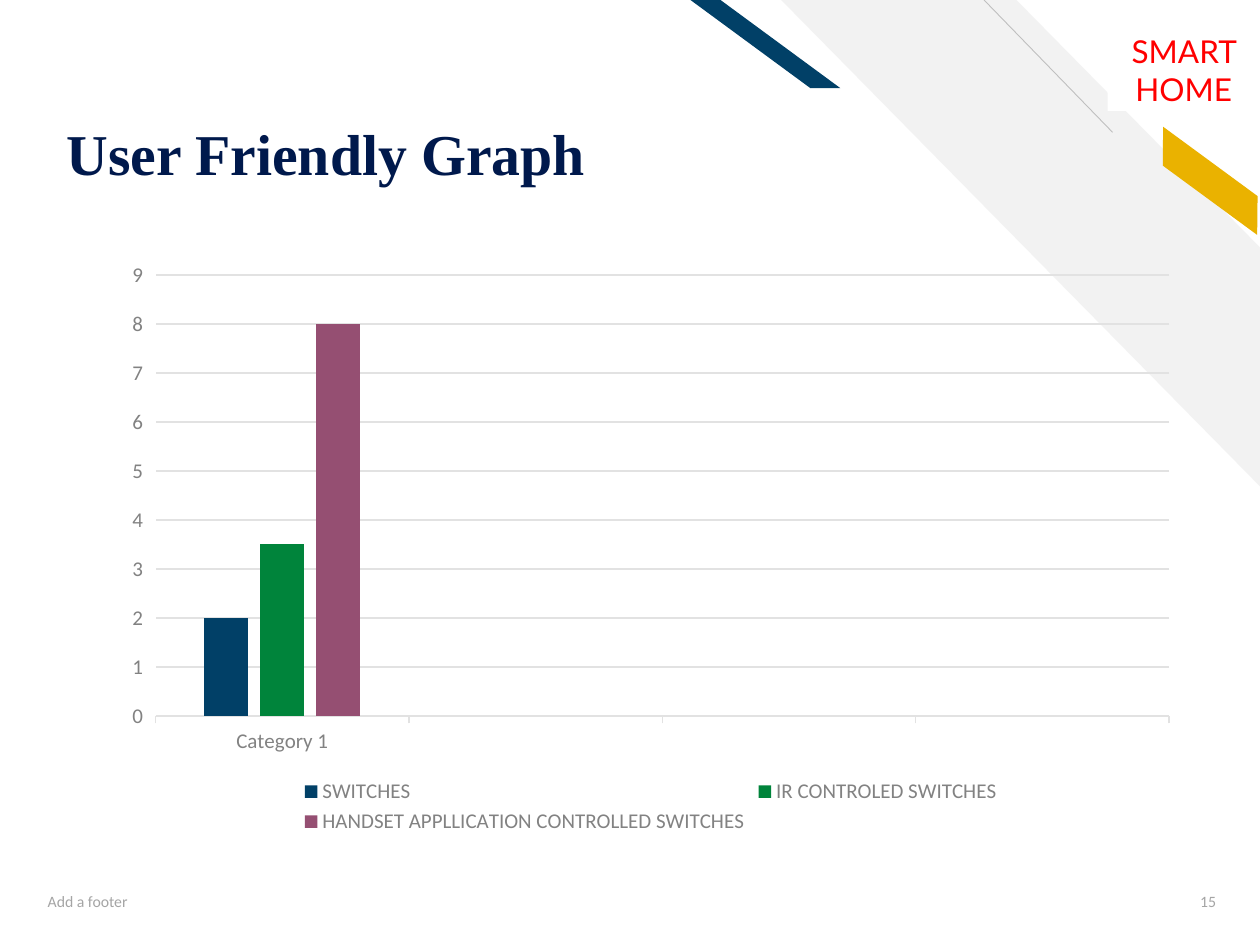
from lxml.etree import SubElement
from pptx import Presentation
from pptx.chart.data import CategoryChartData
from pptx.dml.color import RGBColor
from pptx.enum.chart import XL_CHART_TYPE, XL_LEGEND_POSITION, XL_TICK_MARK
from pptx.enum.shapes import MSO_CONNECTOR, MSO_SHAPE
from pptx.enum.text import MSO_ANCHOR, MSO_AUTO_SIZE, PP_ALIGN
from pptx.oxml.ns import qn
from pptx.util import Inches, Pt

NAVY, GOLD, PALE, GRID = "014067", "EAB200", "F2F2F2", "E2E2E2"
GREY, FAINT = "828282", "A5A5A5"


def rgb(code):
    return RGBColor.from_string(code)


def inches(*nums):
    return [Inches(n) for n in nums]


def assign(item, **vals):
    for key, val in vals.items():
        setattr(item, key, val)


def style(font, size, color, name="Calibri", bold=False):
    assign(font, size=Pt(size), name=name, bold=bold)
    font.color.rgb = rgb(color)


def stroke(line, color, width):
    line.color.rgb = rgb(color)
    line.width = Pt(width)


class Deck:
    """Holds the presentation, its house style and the current slide."""

    def __init__(self):
        self.prs = Presentation()
        assign(self.prs, slide_width=Inches(10), slide_height=Inches(7.5))
        self.slide = self.prs.slides.add_slide(self.prs.slide_layouts[5])
        self.shapes = self.slide.shapes

    def label(self, shape, text, size, color, align=PP_ALIGN.LEFT,
              anchor=MSO_ANCHOR.MIDDLE, **font):
        """Put styled text into a shape."""
        frame = shape.text_frame
        assign(frame, text=text, word_wrap=True, vertical_anchor=anchor,
               auto_size=MSO_AUTO_SIZE.NONE)
        para = frame.paragraphs[0]
        para.alignment = align
        style(para.runs[0].font, size, color, **font)
        return frame

    def title(self, text, box):
        shape = self.shapes.title
        assign(shape, **dict(zip(("left", "top", "width", "height"), inches(*box))))
        frame = self.label(shape, text, 33, "00194C", anchor=MSO_ANCHOR.BOTTOM,
                           name="Times New Roman", bold=True)
        frame.margin_bottom = 0
        frame.paragraphs[0].line_spacing = 0.9

    def text(self, text, box, *args, **fmt):
        self.label(self.shapes.add_textbox(*inches(*box)), text, *args, **fmt)

    def shape(self, kind, box, fill, adj=None, turn=0):
        """Add a plain filled shape; one with an adjustment is mirrored."""
        shape = self.shapes.add_shape(kind, *inches(*box))
        shape.shadow.inherit = False
        shape.fill.solid()
        shape.fill.fore_color.rgb = rgb(fill)
        shape.line.fill.background()
        shape.rotation = turn
        if adj is not None:
            shape.adjustments[0] = adj
            shape.element.spPr.find(qn("a:xfrm")).set("flipH", "1")
        return shape

    def line(self, ends, color, width):
        line = self.shapes.add_connector(MSO_CONNECTOR.STRAIGHT, *inches(*ends))
        stroke(line.line, color, width)
        SubElement(line.element.spPr, qn("a:effectLst"))

    def chart(self, box, cats, series):
        data = CategoryChartData()
        data.categories = cats
        for name, vals, _ in series:
            data.add_series(name, vals)
        chart = self.shapes.add_chart(
            XL_CHART_TYPE.COLUMN_CLUSTERED, *inches(*box), data).chart
        assign(chart, has_title=False, has_legend=True)
        style(chart.font, 10, "3F3F3F")
        assign(chart.legend, position=XL_LEGEND_POSITION.BOTTOM,
               include_in_layout=False)
        style(chart.legend.font, 12, GREY)

        plot = chart.plots[0]
        assign(plot, gap_width=219, overlap=-27, vary_by_categories=False)
        for item, (_, _, color) in zip(plot.series, series):
            item.format.fill.solid()
            item.format.fill.fore_color.rgb = rgb(color)

        cat, val = chart.category_axis, chart.value_axis
        for axis in (cat, val):
            axis.major_tick_mark = XL_TICK_MARK.OUTSIDE
            style(axis.tick_labels.font, 12, GREY)
        stroke(cat.format.line, GRID, 0.75)
        assign(val, minimum_scale=0, maximum_scale=9, major_unit=1,
               has_major_gridlines=True)
        val.format.line.fill.background()
        stroke(val.major_gridlines.format.line, GRID, 0.75)


def main():
    deck = Deck()
    deck.shape(MSO_SHAPE.DIAGONAL_STRIPE, (6.2, 0, 3.81, 3.87), PALE, 0.51)
    deck.line((8.83, 1.05, 7.81, 0), "BFBFBF", 0.5)
    deck.shape(MSO_SHAPE.PARALLELOGRAM, (9.05, 1.31, 1.11, 0.25), GOLD, 0.72, 36.3)
    deck.shape(MSO_SHAPE.PARALLELOGRAM, (5.48, 0, 1.19, 0.7), NAVY, 1.36)

    deck.title("User Friendly Graph", (0.43, 0.23, 6.83, 1.26))
    deck.text("Add a footer", (0.28, 6.95, 3.38, 0.4), 9, FAINT)
    deck.text("15", (9.14, 6.95, 0.61, 0.4), 9, FAINT, PP_ALIGN.RIGHT)

    gap = [None] * 3
    deck.chart((0.88, 1.99, 8.57, 4.67), ["Category 1", "", "", ""], [
        ("SWITCHES", [2] + gap, NAVY),
        ("IR CONTROLED SWITCHES", [3.5] + gap, "00843B"),
        ("HANDSET APPLLICATION CONTROLLED SWITCHES", [8] + gap, "954F72"),
    ])

    badge = deck.shape(MSO_SHAPE.RECTANGLE, (8.79, 0.23, 1.21, 0.65), "FFFFFF")
    deck.label(badge, "SMART HOME", 18, "FF0000", PP_ALIGN.CENTER, name="Lato")
    deck.prs.save("out.pptx")


if __name__ == "__main__":
    main()
